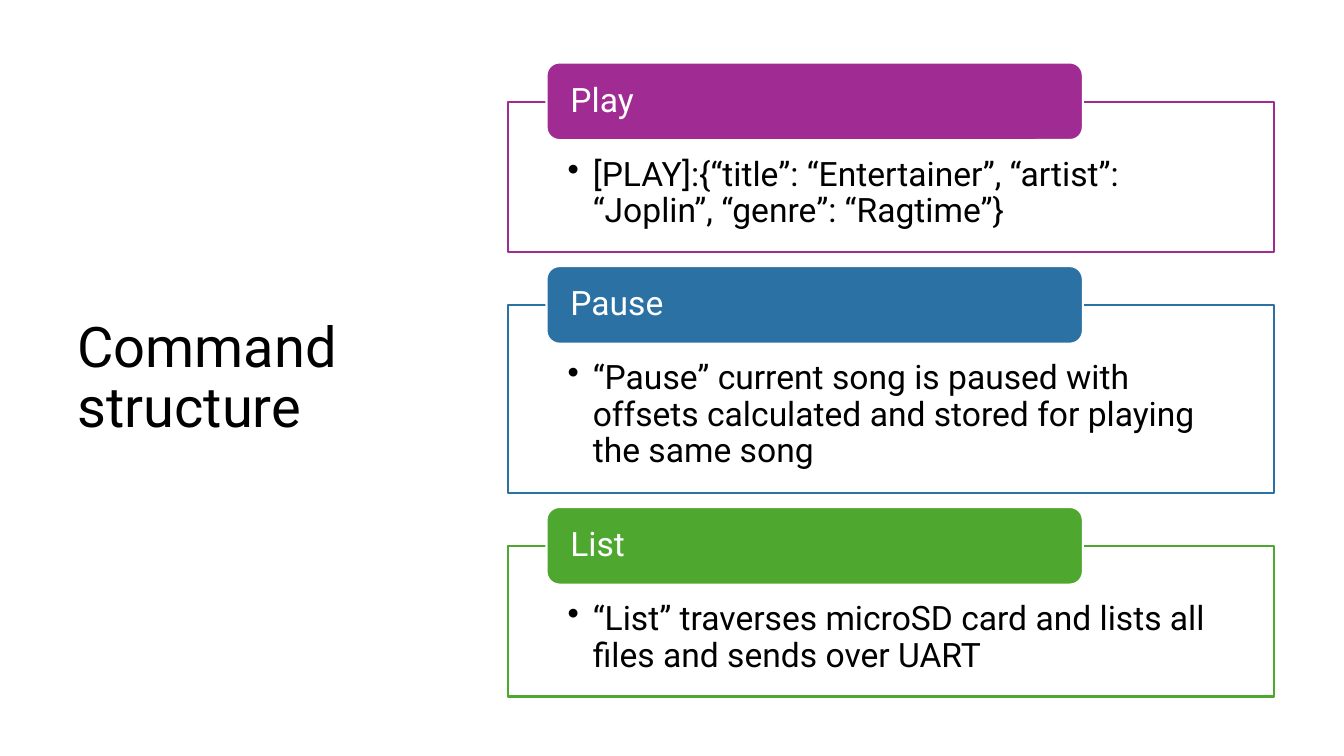
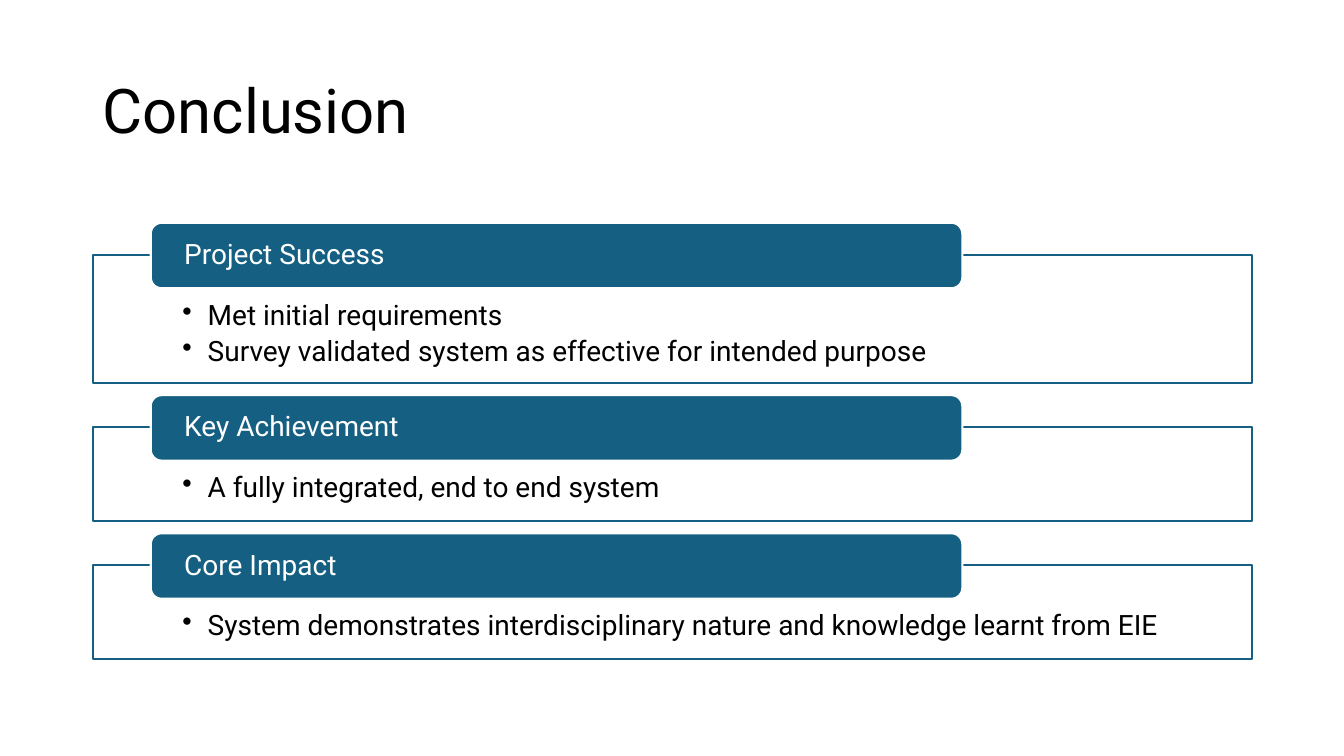
from lxml import etree
from pptx import Presentation
from pptx.dml.color import RGBColor
from pptx.enum.shapes import MSO_SHAPE as SHAPE
from pptx.enum.text import MSO_ANCHOR as ANCHOR, PP_ALIGN as ALIGN
from pptx.oxml.ns import qn
from pptx.util import Inches, Pt

FONT = "Roboto"
BLACK = RGBColor(0x00, 0x00, 0x00)
WHITE = RGBColor(0xFF, 0xFF, 0xFF)
PURPLE = RGBColor(0xA0, 0x2B, 0x93)
BLUE = RGBColor(0x2C, 0x71, 0xA4)
GREEN = RGBColor(0x4E, 0xA7, 0x2E)
TEAL = RGBColor(0x15, 0x60, 0x82)

TAB_INDENT = 0.05  # shares of the panel width
TAB_SHARE = 0.7


def write(shape, lines, size, color, anchor, margins, bulleted=False):
    frame = shape.text_frame
    frame.word_wrap = True
    frame.vertical_anchor = anchor
    frame.margin_left = frame.margin_right = Inches(margins[0])
    frame.margin_top, frame.margin_bottom = Inches(margins[1]), Inches(margins[2])
    frame.text = "\n".join(lines)
    for paragraph in frame.paragraphs:
        paragraph.alignment = ALIGN.LEFT
        paragraph.line_spacing = 0.9
        if bulleted:
            paragraph.space_after = Pt(4)
            properties = paragraph._p.get_or_add_pPr()
            properties.set("marL", str(Inches(0.25)))
            properties.set("indent", str(-Inches(0.25)))
            etree.SubElement(properties, qn("a:buChar")).set("char", "•")
        paragraph.font.name = FONT
        paragraph.font.size = Pt(size)
        paragraph.font.color.rgb = color


def add_box(slide, kind, left, top, width, height, fill, outline):
    box = slide.shapes.add_shape(kind, Inches(left), Inches(top), Inches(width), Inches(height))
    box.shadow.inherit = False
    box.fill.solid()
    box.fill.fore_color.rgb = fill
    box.line.color.rgb = outline
    box.line.width = Pt(1.5)
    return box


slides = [
    {
        "title": "Command structure", "title_at": (0.67, 0.6, 3.82, 6.33), "title_size": 40,
        "left": 5.04, "top": 0.62, "width": 7.6, "size": 24,
        "tab_height": 0.77, "overhang": 0.39, "gap": 0.14,
        "tab_margin": 0.2, "panel_margins": (0.59, 0.55, 0.19),
        "sections": [
            ("Play", PURPLE, 1.49,
             ["[PLAY]:{“title”: “Entertainer”, “artist”: “Joplin”, “genre”: “Ragtime”}"]),
            ("Pause", BLUE, 1.86,
             ["“Pause” current song is paused with offsets calculated and stored "
              "for playing the same song"]),
            ("List", GREEN, 1.49,
             ["“List” traverses microSD card and lists all files and sends over UART"]),
        ],
    },
    {
        "title": "Conclusion", "title_at": (0.92, 0.4, 11.5, 1.45), "title_size": 44,
        "left": 0.92, "top": 2.21, "width": 11.5, "size": 20,
        "tab_height": 0.65, "overhang": 0.32, "gap": 0.12,
        "tab_margin": 0.3, "panel_margins": (0.89, 0.46, 0.16),
        "sections": [
            ("Project Success", TEAL, 1.27,
             ["Met initial requirements",
              "Survey validated system as effective for intended purpose"]),
            ("Key Achievement", TEAL, 0.93, ["A fully integrated, end to end system"]),
            ("Core Impact", TEAL, 0.93,
             ["System demonstrates interdisciplinary nature and knowledge learnt from EIE"]),
        ],
    },
]

prs = Presentation()
prs.slide_width, prs.slide_height = Inches(13.33), Inches(7.5)

for content in slides:
    slide = prs.slides.add_slide(prs.slide_layouts[6])

    # Title
    title = slide.shapes.add_textbox(*map(Inches, content["title_at"]))
    write(title, [content["title"]], content["title_size"], BLACK, ANCHOR.MIDDLE, (0.1, 0.05, 0.05))

    # Stack of outlined panels, each with a tab over its top edge
    left, top, width, size = (content[key] for key in ("left", "top", "width", "size"))
    for heading, color, height, points in content["sections"]:
        panel_top = top + content["overhang"]
        panel = add_box(slide, SHAPE.RECTANGLE, left, panel_top, width, height, WHITE, color)
        write(panel, points, size, BLACK, ANCHOR.TOP, content["panel_margins"], bulleted=True)

        tab = add_box(slide, SHAPE.ROUNDED_RECTANGLE, left + TAB_INDENT * width, top,
                      TAB_SHARE * width, content["tab_height"], color, WHITE)
        write(tab, [heading], size, WHITE, ANCHOR.MIDDLE, (content["tab_margin"], 0, 0))

        top = panel_top + height + content["gap"]

prs.save("out.pptx")
